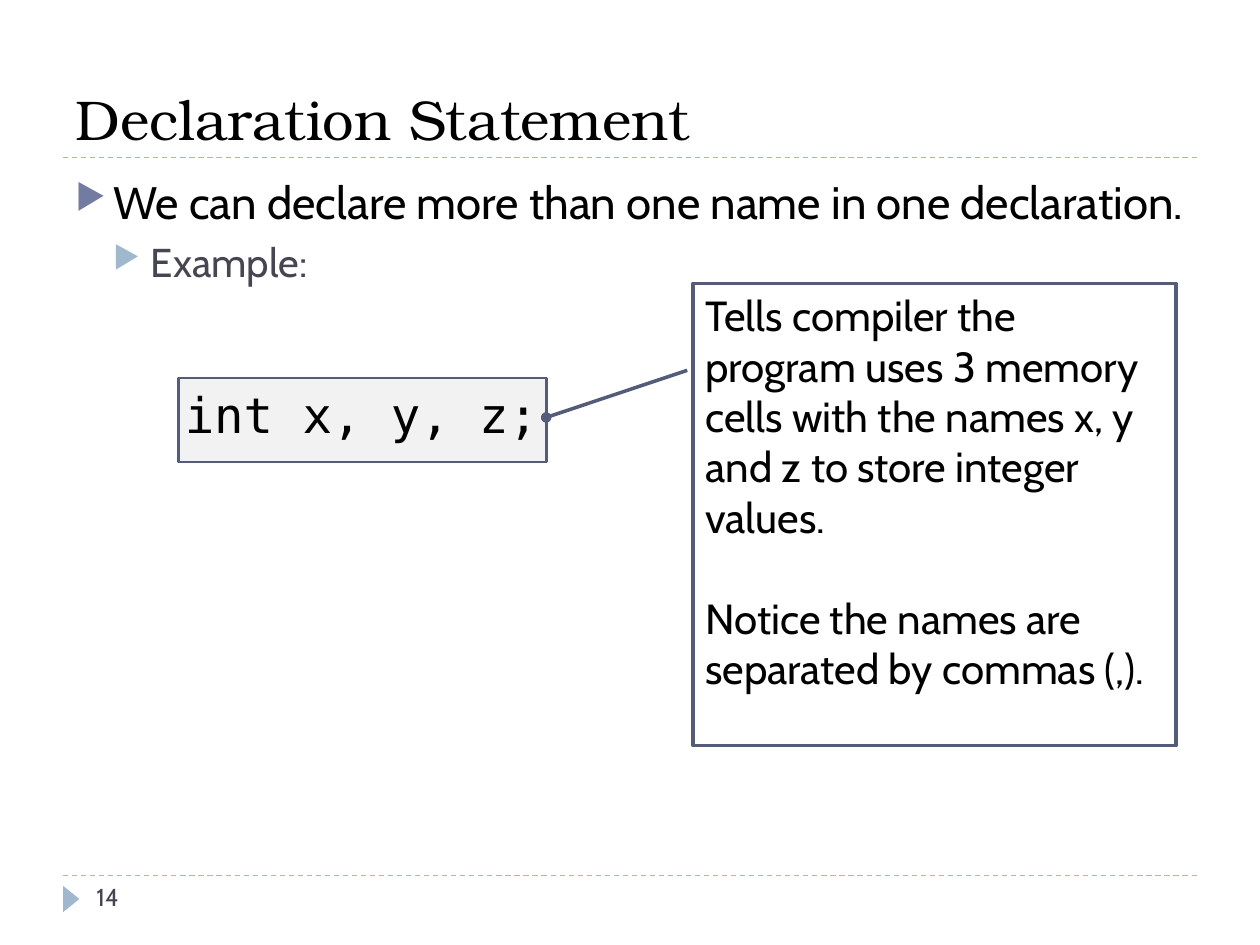
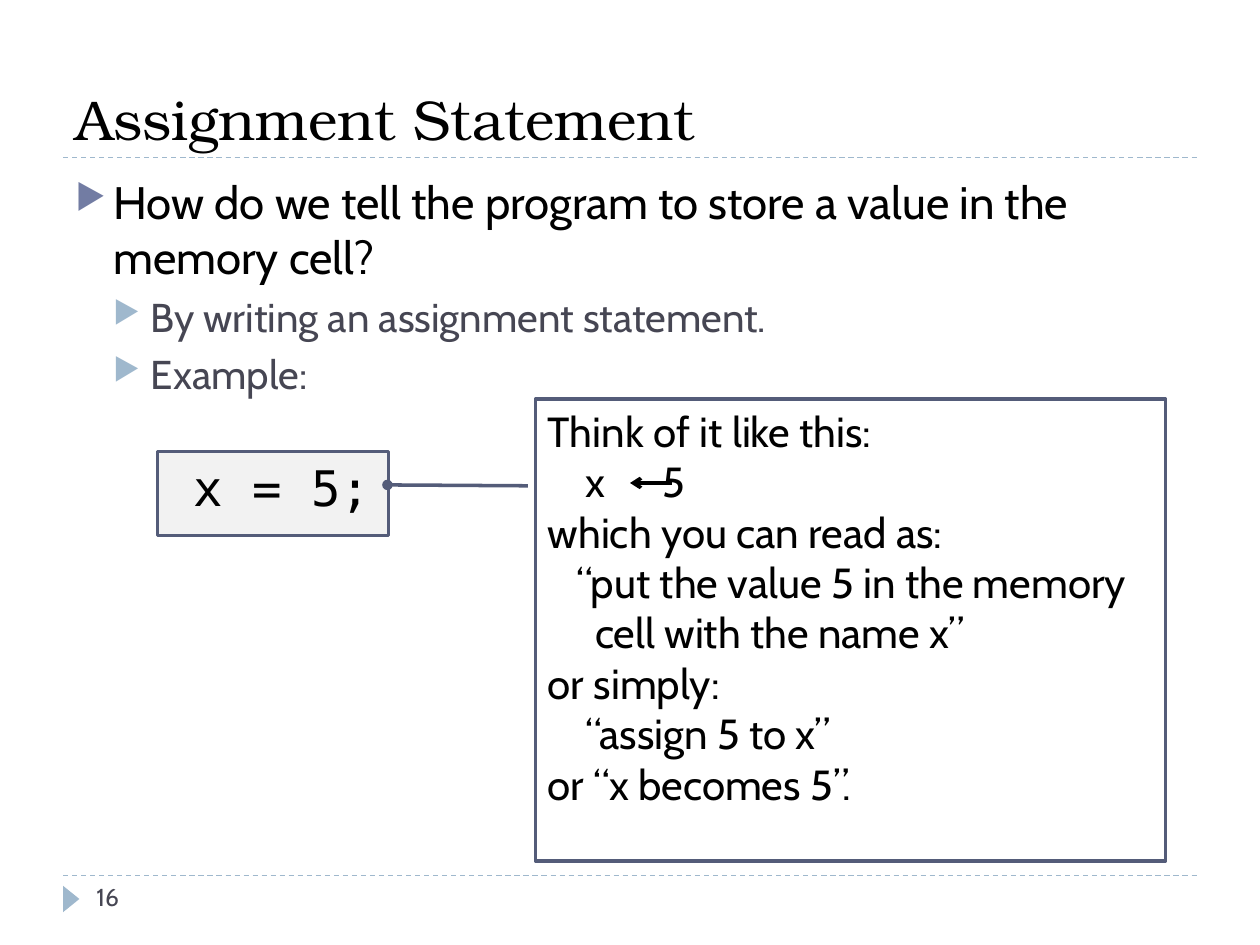
from lxml import etree
from pptx import Presentation
from pptx import util as u
from pptx.dml.color import RGBColor
from pptx.enum import dml, shapes, text
from pptx.oxml.ns import qn

Pt = u.Pt
BLACK = RGBColor(0x00, 0x00, 0x00)
SLATE = RGBColor(0x46, 0x46, 0x53)
INDIGO = RGBColor(0x72, 0x7C, 0xA3)
SKY = RGBColor(0x9F, 0xB8, 0xCD)
BORDER = RGBColor(0x54, 0x5C, 0x79)
CODE_FILL = RGBColor(0xF2, 0xF2, 0xF2)

TITLE = dict(name="TeX Gyre Bonum", size=Pt(32), color=BLACK)
CODE = dict(name="DejaVu Sans Mono", size=Pt(28), color=BLACK)
NOTE = dict(name="Cabin", size=Pt(24), color=BLACK)
NUMBER = dict(name="Cabin", size=Pt(14), color=SLATE)
LEVELS = [
    dict(font=dict(name="Cabin", size=Pt(26), color=BLACK), bullet=INDIGO, before=6),
    dict(font=dict(name="Cabin", size=Pt(23), color=SLATE), bullet=SKY, before=5),
]
INDENT = 21.6
MARGIN, CONTENT_W = 36, 648
RULES = (90, 500.4)

SLIDES = [
    dict(
        title="Declaration Statement",
        number="14",
        bullets=[
            (0, "We can declare more than one name in one declaration."),
            (1, "Example:"),
        ],
        code=("int x, y, z;", (102, 216, 210.24, 48)),
        callout=dict(
            box=(396, 162, 276, 264),
            leader=(0.188, -0.012, 0.29, -0.304),
            lines=[
                dict(text="Tells compiler the program uses 3 memory cells "
                          "with the names x, y and z to store integer values."),
                dict(text="Notice the names are separated by commas (,).", before=29),
            ],
        ),
    ),
    dict(
        title="Assignment Statement",
        number="16",
        bullets=[
            (0, "How do we tell the program to store a value in the memory cell?"),
            (1, "By writing an assignment statement."),
            (1, "Example:"),
        ],
        code=(" x = 5;", (90, 258, 132, 48)),
        callout=dict(
            box=(306, 228, 360, 264),
            leader=(0.188, -0.012, 0.186, -0.235),
            lines=[
                dict(text="Think of it like this:"),
                dict(text="\tx\t5", tabs=(INDENT, 65.5)),
                dict(text="which you can read as:"),
                dict(text="“put the value 5 in the memory", left=16.2),
                dict(text="cell with the name x”", left=27),
                dict(text="or simply:"),
                dict(text="“assign 5 to x”", left=INDENT),
                dict(text="or “x becomes 5”."),
            ],
        ),
        arrow=(384, 276, 360, 276),
    ),
]


def set_all(obj, values):
    for key, value in values.items():
        setattr(obj, key, value)


def sub(parent, tag, **attrs):
    return etree.SubElement(parent, qn(tag), {k: str(v) for k, v in attrs.items()})


def write(p, words, font):
    r = p.add_run()
    r.text = words
    set_all(r.font, dict(name=font["name"], size=font["size"]))
    r.font.color.rgb = font["color"]


def setup_frame(sp, inset=(7.2, 3.6), anchor=text.MSO_ANCHOR.TOP):
    tf = sp.text_frame
    x, y = map(Pt, inset)
    set_all(tf, dict(word_wrap=True, vertical_anchor=anchor, margin_left=x,
                     margin_right=x, margin_top=y, margin_bottom=y))
    tf.paragraphs[0].alignment = text.PP_ALIGN.LEFT
    return tf


def paragraphs(tf, items):
    for i, item in enumerate(items):
        p = tf.add_paragraph() if i else tf.paragraphs[0]
        p.alignment = text.PP_ALIGN.LEFT
        yield i, p, item


def add_text(s, box, words, font, anchor=text.MSO_ANCHOR.TOP):
    tf = setup_frame(s.shapes.add_textbox(*map(Pt, box)), anchor=anchor)
    write(tf.paragraphs[0], words, font)


def add_shape(s, kind, box, fill=None, width=None):
    sp = s.shapes.add_shape(kind, *map(Pt, box))
    sp.shadow.inherit = False
    if fill is None:
        sp.fill.background()
    else:
        sp.fill.solid()
        sp.fill.fore_color.rgb = fill
    if width is None:
        sp.line.fill.background()
    else:
        sp.line.color.rgb = BORDER
        sp.line.width = Pt(width)
    return sp


def add_line(s, ends, color, width):
    ln = s.shapes.add_connector(shapes.MSO_CONNECTOR.STRAIGHT, *map(Pt, ends))
    ln.line.color.rgb = color
    ln.line.width = Pt(width)
    sub(ln._element.spPr, "a:effectLst")
    return ln


def add_tail(sp, kind):
    sub(sp.line._get_or_add_ln(), "a:tailEnd", type=kind)


def add_frame(s, title, number):
    for y in RULES:
        rule = add_line(s, (MARGIN, y, MARGIN + CONTENT_W, y), SKY, 0.75)
        rule.line.dash_style = dml.MSO_LINE.DASH
    marker = add_shape(s, shapes.MSO_SHAPE.ISOSCELES_TRIANGLE,
                       (33.12, 509.04, 15.12, 9.36), fill=SKY)
    marker.rotation = 90
    add_text(s, (MARGIN, 12, CONTENT_W, 78), title, TITLE, text.MSO_ANCHOR.BOTTOM)
    add_text(s, (48, 500.4, 156, 28.8), number, NUMBER)


def add_bullets(s, bullets):
    tf = setup_frame(s.shapes.add_textbox(*map(Pt, (MARGIN, 96, CONTENT_W, 388.8))))
    for i, p, (level, words) in paragraphs(tf, bullets):
        style = LEVELS[level]
        p.level = level
        pPr = p._p.get_or_add_pPr()
        pPr.set("marL", str(Pt(INDENT * (level + 1))))
        pPr.set("indent", str(Pt(-INDENT)))
        sub(sub(pPr, "a:buClr"), "a:srgbClr", val=style["bullet"])
        sub(pPr, "a:buSzPct", val=76000)
        sub(pPr, "a:buChar", char="▶")
        if i:
            p.space_before = Pt(style["before"])
        write(p, words, style["font"])


def add_code(s, words, box):
    sp = add_shape(s, shapes.MSO_SHAPE.RECTANGLE, box, CODE_FILL, 1.5)
    tf = setup_frame(sp, inset=(3.6, 3.6))
    write(tf.paragraphs[0], words, CODE)


def add_callout(s, box, leader, lines):
    sp = add_shape(s, shapes.MSO_SHAPE.LINE_CALLOUT_1, box, width=2)
    for i, value in enumerate(leader):
        sp.adjustments[i] = value
    add_tail(sp, "oval")
    for _, p, line in paragraphs(setup_frame(sp), lines):
        pPr = p._p.get_or_add_pPr()
        if "left" in line:
            pPr.set("marL", str(Pt(line["left"])))
        if "tabs" in line:
            tabs = sub(pPr, "a:tabLst")
            for pos in line["tabs"]:
                sub(tabs, "a:tab", pos=Pt(pos), algn="l")
        if "before" in line:
            p.space_before = Pt(line["before"])
        write(p, line["text"], NOTE)


def main():
    prs = Presentation()
    set_all(prs, dict(slide_width=Pt(720), slide_height=Pt(540)))
    for data in SLIDES:
        s = prs.slides.add_slide(prs.slide_layouts[6])
        add_frame(s, data["title"], data["number"])
        add_bullets(s, data["bullets"])
        add_code(s, *data["code"])
        add_callout(s, **data["callout"])
        if "arrow" in data:
            add_tail(add_line(s, data["arrow"], BLACK, 2), "arrow")
    prs.save("out.pptx")


if __name__ == "__main__":
    main()
